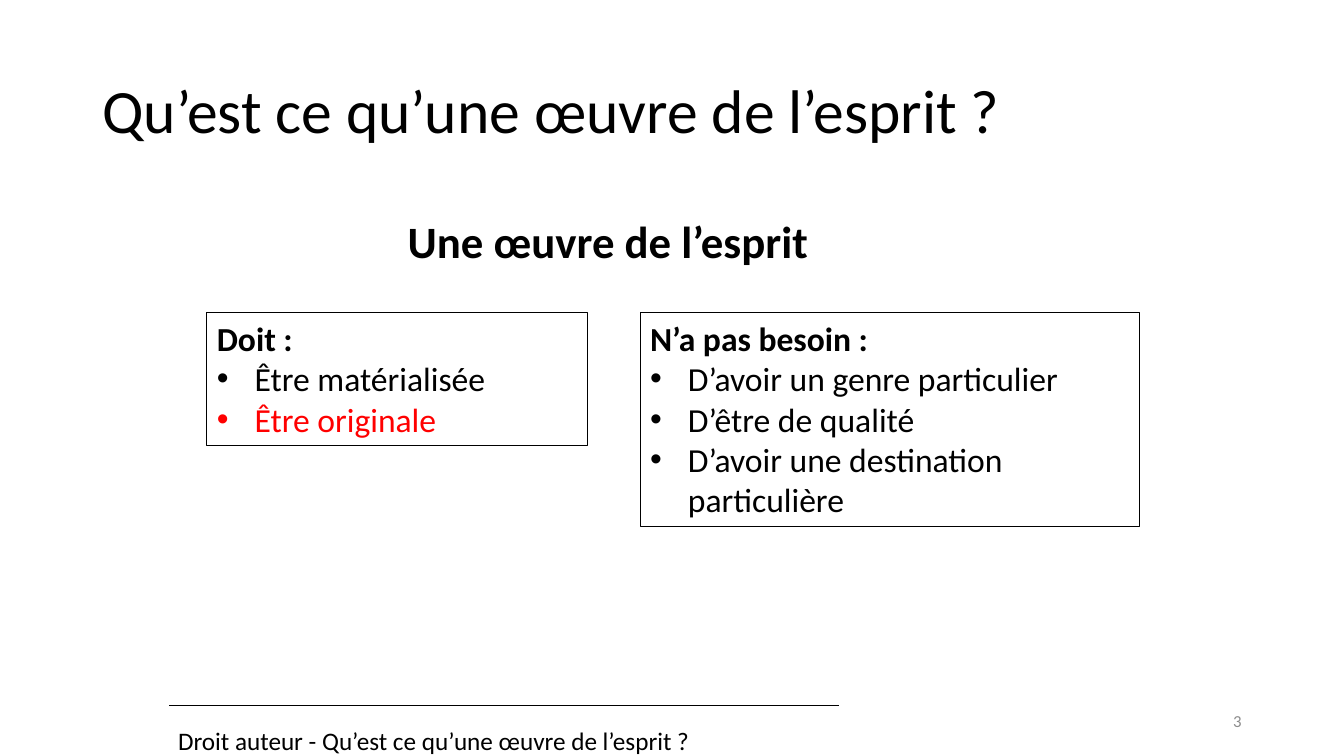
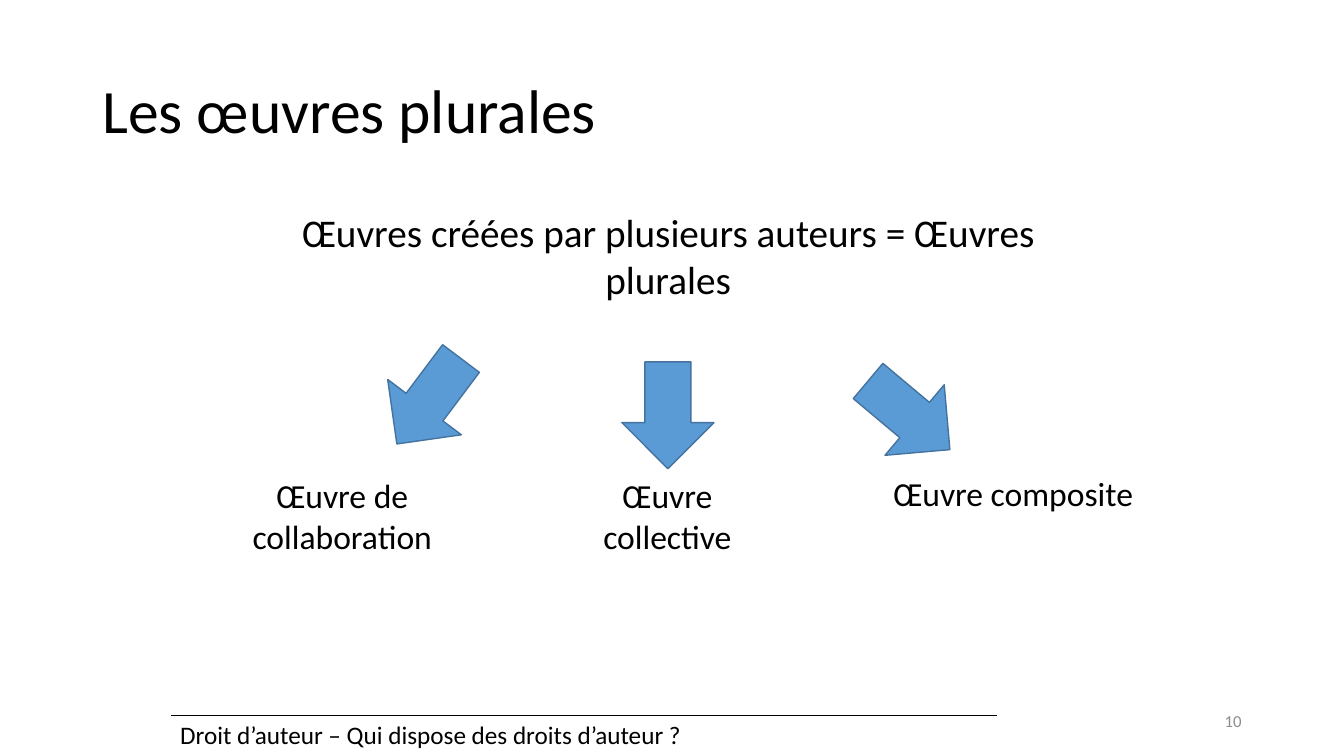
from lxml import etree
from pptx import Presentation
from pptx.dml.color import RGBColor
from pptx.enum import shapes, text
from pptx.oxml import ns
from pptx.util import Pt

COLORS = {"ink": "000000", "accent": "FF0000", "muted": "8C8C8C",
          "arrow": "5B9BD5", "arrow_line": "43739E"}
FONT = "Calibri"
TITLE_BOX = (66, 28.75, 828, 104.4)
NUMBER_BOX = (678, 500.5, 216, 28.75)
LEFT, CENTER, RIGHT = text.PP_ALIGN.LEFT, text.PP_ALIGN.CENTER, text.PP_ALIGN.RIGHT
TOP, MIDDLE = text.MSO_ANCHOR.TOP, text.MSO_ANCHOR.MIDDLE


def rgb(name):
    return RGBColor.from_string(COLORS[name])


def apply(target, values):
    for name, value in values.items():
        setattr(target, name, value)


def place(sp, box):
    apply(sp, dict(zip(("left", "top", "width", "height"), map(Pt, box))))


def write(p, content, size, color="ink", bold=False, **layout):
    apply(p, {"alignment": LEFT, **layout})
    r = p.add_run()
    r.text = content
    apply(r.font, {"name": FONT, "size": Pt(size), "bold": bold})
    r.font.color.rgb = rgb(color)


def add_bullet(p, indent=27):
    pPr = p._p.get_or_add_pPr()
    pPr.set("marL", str(Pt(indent)))
    pPr.set("indent", str(-Pt(indent)))
    etree.SubElement(pPr, ns.qn("a:buFont"), typeface="Arial")
    etree.SubElement(pPr, ns.qn("a:buChar"), char="•")


def add_text(s, box, content, size, anchor=TOP, **style):
    sp = s.shapes.add_textbox(*map(Pt, box))
    tf = sp.text_frame
    apply(tf, {"word_wrap": True, "vertical_anchor": anchor})
    write(tf.paragraphs[0], content, size, **style)


def add_title(s, content):
    sp = s.shapes.title
    place(sp, TITLE_BOX)
    tf = sp.text_frame
    apply(tf, {"word_wrap": True, "vertical_anchor": MIDDLE,
               "auto_size": text.MSO_AUTO_SIZE.NONE})
    write(tf.paragraphs[0], content, 44, line_spacing=0.9)


def add_footer(s, box, content, rule=1, **style):
    table = s.shapes.add_table(1, 1, *map(Pt, box)).table
    apply(table, {"first_row": False, "horz_banding": False})
    cell = table.cell(0, 0)
    cell.fill.background()
    write(cell.text_frame.paragraphs[0], content, 18, **style)
    ln = etree.Element(ns.qn("a:lnT"), w=str(Pt(rule)))
    fill = etree.SubElement(ln, ns.qn("a:solidFill"))
    etree.SubElement(fill, ns.qn("a:srgbClr"), val=COLORS["ink"])
    cell._tc.get_or_add_tcPr().insert(0, ln)


def add_slide(prs, title, number):
    s = prs.slides.add_slide(prs.slide_layouts[5])
    add_title(s, title)
    add_text(s, NUMBER_BOX, number, 12, MIDDLE, color="muted", alignment=RIGHT)
    return s


def add_criteria(s, box, heading, items):
    sp = s.shapes.add_shape(shapes.MSO_SHAPE.RECTANGLE, *map(Pt, box))
    sp.shadow.inherit = False
    sp.fill.background()
    sp.line.color.rgb = rgb("ink")
    sp.line.width = Pt(0.75)
    tf = sp.text_frame
    apply(tf, {"word_wrap": True, "vertical_anchor": TOP})
    write(tf.paragraphs[0], heading, 24, bold=True)
    for content, color in items:
        p = tf.add_paragraph()
        write(p, content, 24, color)
        add_bullet(p)


def add_arrow(s, box, rotation):
    sp = s.shapes.add_shape(shapes.MSO_SHAPE.DOWN_ARROW, *map(Pt, box))
    sp.shadow.inherit = False
    sp.rotation = rotation
    sp.fill.solid()
    sp.fill.fore_color.rgb = rgb("arrow")
    sp.line.color.rgb = rgb("arrow_line")
    sp.line.width = Pt(1)


def criteria_region(s, box):
    x, y, w, h = box
    must_w, need_w = 272, 357
    add_text(s, (x + 116.5, y, 340, 46), "Une œuvre de l’esprit", 32,
             bold=True, alignment=CENTER)
    add_criteria(s, (x, y + 74.5, must_w, 94.5), "Doit :",
                 [("Être matérialisée", "ink"), ("Être originale", "accent")])
    add_criteria(s, (x + w - need_w, y + 74.5, need_w, h - 74.5), "N’a pas besoin :",
                 [(item, "ink") for item in ("D’avoir un genre particulier",
                                             "D’être de qualité",
                                             "D’avoir une destination particulière")])


def plural_works_region(s, box):
    x, y, w, h = box
    add_text(s, (x + 74, y, 538.5, 75),
             "Œuvres créées par plusieurs auteurs = Œuvres plurales", 28, alignment=CENTER)
    works = [("Œuvre de collaboration", 0, 190.5, 221, 139.5, 103, 36.9),
             ("Œuvre collective", 263.5, 190.5, 158.5, 310.2, 113, 0),
             ("Œuvre composite", 493.2, 189, 193, 482.4, 113, 310)]
    for name, label_x, label_y, label_w, arrow_x, arrow_y, rotation in works:
        add_text(s, (x + label_x, y + label_y, label_w, h - label_y), name, 24,
                 alignment=CENTER)
        add_arrow(s, (x + arrow_x, y + arrow_y, 65.8, 76.3), rotation)


prs = Presentation()
apply(prs, {"slide_width": Pt(960), "slide_height": Pt(540)})

s = add_slide(prs, "Qu’est ce qu’une œuvre de l’esprit ?", "3")
criteria_region(s, (147.8, 149, 666.5, 227))
add_footer(s, (120, 504, 480, 29.5),
           "Droit auteur - Qu’est ce qu’une œuvre de l’esprit ?", line_spacing=1.5)

s = add_slide(prs, "Les œuvres plurales", "10")
plural_works_region(s, (134, 145.5, 686, 256))
add_footer(s, (121.5, 511, 591, 29.5),
           "Droit d’auteur – Qui dispose des droits d’auteur ?")

prs.save("out.pptx")
